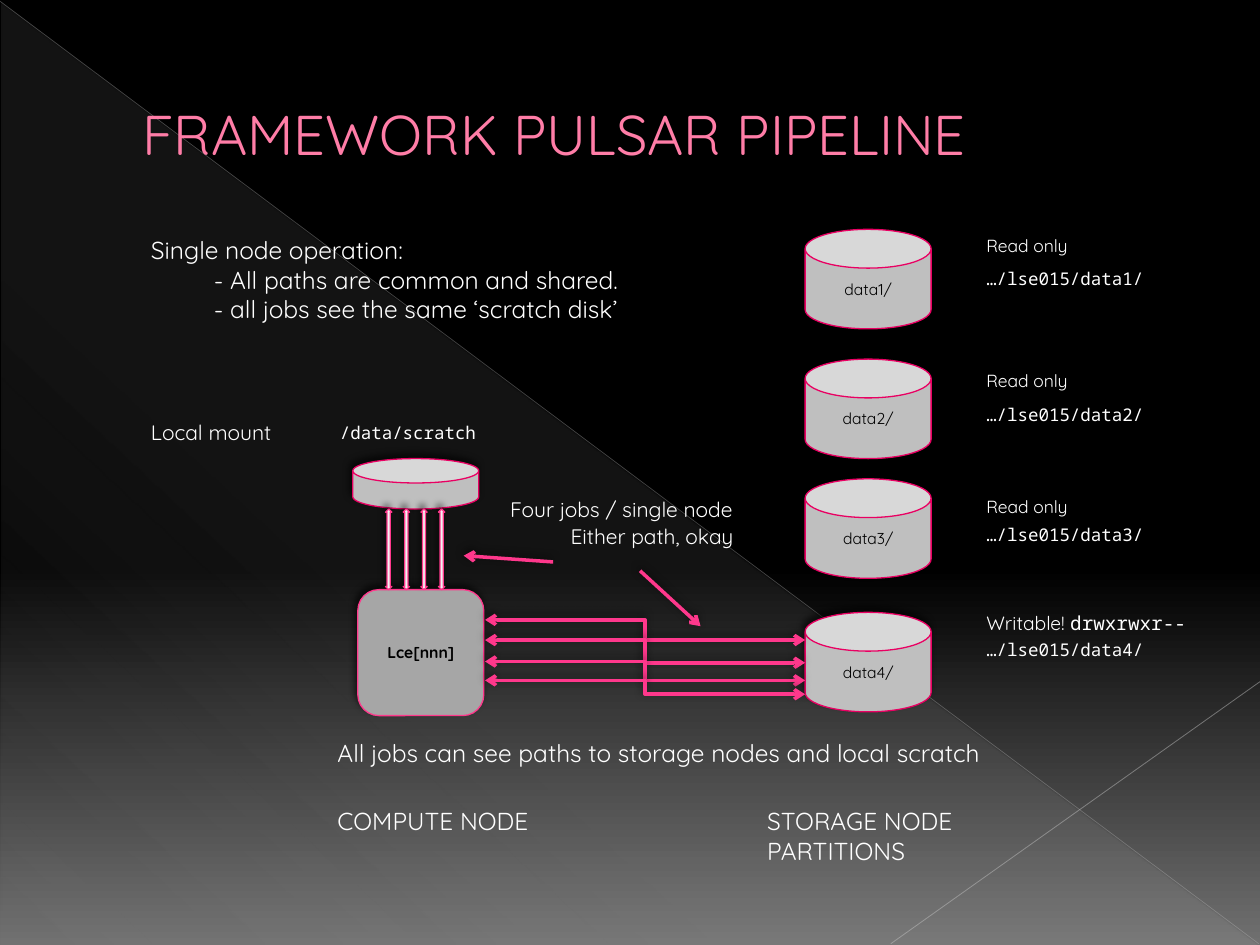
from lxml.etree import SubElement
from pptx import Presentation
from pptx.dml.color import RGBColor
from pptx.enum.shapes import MSO_CONNECTOR, MSO_SHAPE
from pptx.enum.text import MSO_ANCHOR, MSO_AUTO_SIZE, PP_ALIGN
from pptx.oxml.ns import qn
from pptx.util import Inches, Pt

CAN, ROUNDED = MSO_SHAPE.CAN, MSO_SHAPE.ROUNDED_RECTANGLE
DOUBLE_ARROW, TRIANGLE = MSO_SHAPE.UP_DOWN_ARROW, MSO_SHAPE.RIGHT_TRIANGLE
STRAIGHT, ELBOW = MSO_CONNECTOR.STRAIGHT, MSO_CONNECTOR.ELBOW
MIDDLE, CENTER = MSO_ANCHOR.MIDDLE, PP_ALIGN.CENTER
SANS, MONO = "Quicksand", "Noto Sans Mono"
PINK, DARK_PINK, WHITE, BLACK, GREY = "FF388C", "E90062", "FFFFFF", "000000", "BFBFBF"

# Gradient stops: position %, colour, opacity %
BACKGROUND = [(0, BLACK, 100), (60, BLACK, 100), (100, "707070", 100)]
TRIANGLE_STOPS = [(0, "D2D2D2", 10), (70, "D2D2D2", 8), (100, "D2D2D2", 1)]
# From, to, colour, width, opacity %
DECOR_LINES = [((0, 0.01), (9.99, 7.49), GREY, 0.39, 35),
               ((10, 5.41), (7.07, 7.49), "C6C6C6", 0.47, 45)]

TITLE = "FRAMEWORK PULSAR PIPELINE"
INTRO = ["Single node operation:",
         "- All paths are common and shared.",
         "- all jobs see the same ‘scratch disk’"]

# Name, disk top, access runs, access top, mount top
ACCESS_10 = [("Read only", 10, SANS)]
ACCESS_11 = [("Writable! ", 11, SANS), ("drwxrwxr--", 11, MONO)]
DISKS = [("data1", 1.82, ACCESS_10, 1.82, 2.08),
         ("data2", 2.85, ACCESS_10, 2.89, 3.16),
         ("data3", 3.80, ACCESS_10, 3.89, 4.11),
         ("data4", 4.86, ACCESS_11, 4.80, 5.02)]
DISK_LEFT, LABEL_LEFT = 6.39, 7.73

# Text, size, font, box
LABELS = [
    ("COMPUTE NODE", 14, SANS, (2.58, 6.35, 1.77, 0.34)),
    ("All jobs can see paths to storage nodes and local scratch", 14, SANS,
     (2.58, 5.81, 5.66, 0.34)),
    ("Local mount", 12, SANS, (1.1, 3.28, 1.27, 0.3)),
    ("/data/scratch", 10, MONO, (2.6, 3.3, 1.3, 0.27)),
    ("Four jobs / single node", 12, SANS, (3.95, 3.89, 2.03, 0.3)),
    ("Either path, okay", 12, SANS, (4.43, 4.11, 1.57, 0.3)),
]

JOB_COUNT, FIRST_JOB_LEFT, JOB_STEP = 4, 3.06, 0.14
# Height at the compute node, height at data4
STORAGE_LINKS = [(4.92, 5.08), (5.08, 5.26), (5.25, 5.40), (5.40, 5.51)]
POINTERS = [((5.08, 4.53), (5.56, 4.97)), ((4.39, 4.46), (3.68, 4.41))]


def rgb(color):
    return RGBColor.from_string(color)


def add_color(parent, color, opacity=100):
    element = SubElement(parent, qn("a:srgbClr"), val=color)
    if opacity < 100:
        SubElement(element, qn("a:alpha"), val=str(opacity * 1000))


def set_gradient(fill, owner, stops, angle):
    """Fill with any number of stops; angle runs clockwise."""
    fill.gradient()
    fill.gradient_angle = 360 - angle
    stop_list = owner.find(".//" + qn("a:gsLst"))
    for old_stop in list(stop_list):
        stop_list.remove(old_stop)
    for position, color, opacity in stops:
        stop = SubElement(stop_list, qn("a:gs"), pos=str(position * 1000))
        add_color(stop, color, opacity)


def add_effects(shape, shadow=None):
    """Replace the theme shadow by (opacity, blur, distance), or by nothing."""
    effects = SubElement(shape._element.spPr, qn("a:effectLst"))
    if shadow:
        opacity, blur, distance = shadow
        outer = SubElement(effects, qn("a:outerShdw"), blurRad=str(Pt(blur)),
                           dist=str(Pt(distance)), dir=str(245 * 60000), rotWithShape="0")
        add_color(outer, BLACK, opacity)


def add_run(paragraph, text, size, font, color=WHITE, bold=False):
    run = paragraph.add_run()
    run.text = text
    values = {"size": Pt(size), "name": font, "bold": bold}
    for name, value in values.items():
        setattr(run.font, name, value)
    run.font.color.rgb = rgb(color)
    return run


def add_text(slide, box, runs, wrap=False):
    frame = slide.shapes.add_textbox(*map(Inches, box)).text_frame
    frame.word_wrap = wrap
    frame.auto_size = MSO_AUTO_SIZE.SHAPE_TO_FIT_TEXT
    for run in runs:
        add_run(frame.paragraphs[0], *run)
    return frame


def add_block(slide, kind, box, fill, line, text="", bold=False, adjustment=None):
    shape = slide.shapes.add_shape(kind, *map(Inches, box))
    if adjustment is not None:
        shape.adjustments[0] = adjustment
    shape.fill.solid()
    shape.fill.fore_color.rgb = rgb(fill)
    shape.line.color.rgb = rgb(line)
    shape.line.width = Pt(0.75)
    add_effects(shape, (60, 4, 3))
    if text:
        shape.text_frame.vertical_anchor = MIDDLE
        paragraph = shape.text_frame.paragraphs[0]
        paragraph.alignment = CENTER
        add_run(paragraph, text, 9, SANS, BLACK, bold)


def add_line(slide, kind, start, end, color, width, opacity=100, heads=(), shadow=None):
    connector = slide.shapes.add_connector(kind, *map(Inches, start + end))
    connector.line.color.rgb = rgb(color)
    connector.line.width = Pt(width)
    line = connector.line._ln
    if opacity < 100:
        SubElement(line.find(".//" + qn("a:srgbClr")), qn("a:alpha"), val=str(opacity * 1000))
    for head in heads:
        SubElement(line, qn(head), type="arrow")
    add_effects(connector, shadow)


def add_backdrop(slide):
    set_gradient(slide.background.fill, slide._element, BACKGROUND, 90)
    triangle = slide.shapes.add_shape(TRIANGLE, *map(Inches, (0.01, 0.02, 9.98, 7.48)))
    set_gradient(triangle.fill, triangle._element, TRIANGLE_STOPS, 133)
    triangle.line.fill.background()
    triangle.shadow.inherit = False
    for decor_line in DECOR_LINES:
        add_line(slide, STRAIGHT, *decor_line)


def add_title(slide):
    frame = slide.shapes.add_textbox(*map(Inches, (0.5, 0.29, 9, 1.53))).text_frame
    frame.word_wrap = True
    frame.vertical_anchor = MIDDLE
    paragraph = frame.paragraphs[0]
    paragraph._p.get_or_add_pPr().set("marL", str(Inches(0.53)))
    properties = add_run(paragraph, TITLE, 32, SANS, "FF7DA7").font._element
    outline = SubElement(properties, qn("a:ln"), w=str(Pt(0.5)))
    add_color(SubElement(outline, qn("a:solidFill")), "B12761")
    properties.insert(0, outline)


def add_intro(slide):
    heading, *points = INTRO
    frame = add_text(slide, (1.1, 1.82, 4.6, 1.04), [(heading, 14, SANS)], wrap=True)
    for point in points:
        paragraph = frame.add_paragraph()
        paragraph._p.get_or_add_pPr().set("marL", str(Inches(0.5)))
        add_run(paragraph, point, 14, SANS)


def add_diagram(slide):
    for name, top, access, access_top, mount_top in DISKS:
        add_block(slide, CAN, (DISK_LEFT, top, 1, 0.79), GREY, DARK_PINK, name + "/",
                  adjustment=0.39)
        access_width = 0.9 if access is ACCESS_10 else 1.88
        add_text(slide, (LABEL_LEFT, access_top, access_width, 0.27), access)
        add_text(slide, (LABEL_LEFT, mount_top, 1.46, 0.27), [(f"…/lse015/{name}/", 10, MONO)])
    add_block(slide, ROUNDED, (2.84, 4.68, 1, 1), "A6A6A6", PINK, "Lce[nnn]", bold=True)
    add_block(slide, CAN, (2.8, 3.64, 1, 0.4), GREY, DARK_PINK, adjustment=0.484)
    for job in range(JOB_COUNT):
        left = FIRST_JOB_LEFT + job * JOB_STEP
        add_block(slide, DOUBLE_ARROW, (left, 4.04, 0.05, 0.64), "F2F2F2", PINK)
    for node_height, disk_height in STORAGE_LINKS:
        add_line(slide, ELBOW, (3.85, node_height), (DISK_LEFT, disk_height), PINK, 2,
                 heads=("a:headEnd", "a:tailEnd"), shadow=(50, 5, 2))
    for start, end in POINTERS:
        add_line(slide, STRAIGHT, start, end, PINK, 2, heads=("a:tailEnd",), shadow=(50, 5, 2))


def main():
    presentation = Presentation()
    presentation.slide_width, presentation.slide_height = Inches(10), Inches(7.5)
    slide = presentation.slides.add_slide(presentation.slide_layouts[6])
    add_backdrop(slide)
    add_title(slide)
    add_intro(slide)
    add_diagram(slide)
    for text, size, font, box in LABELS:
        add_text(slide, box, [(text, size, font)])
    add_text(slide, (5.99, 6.35, 2.6, 0.58), [("STORAGE NODE PARTITIONS", 14, SANS)], wrap=True)
    presentation.save("out.pptx")


if __name__ == "__main__":
    main()
